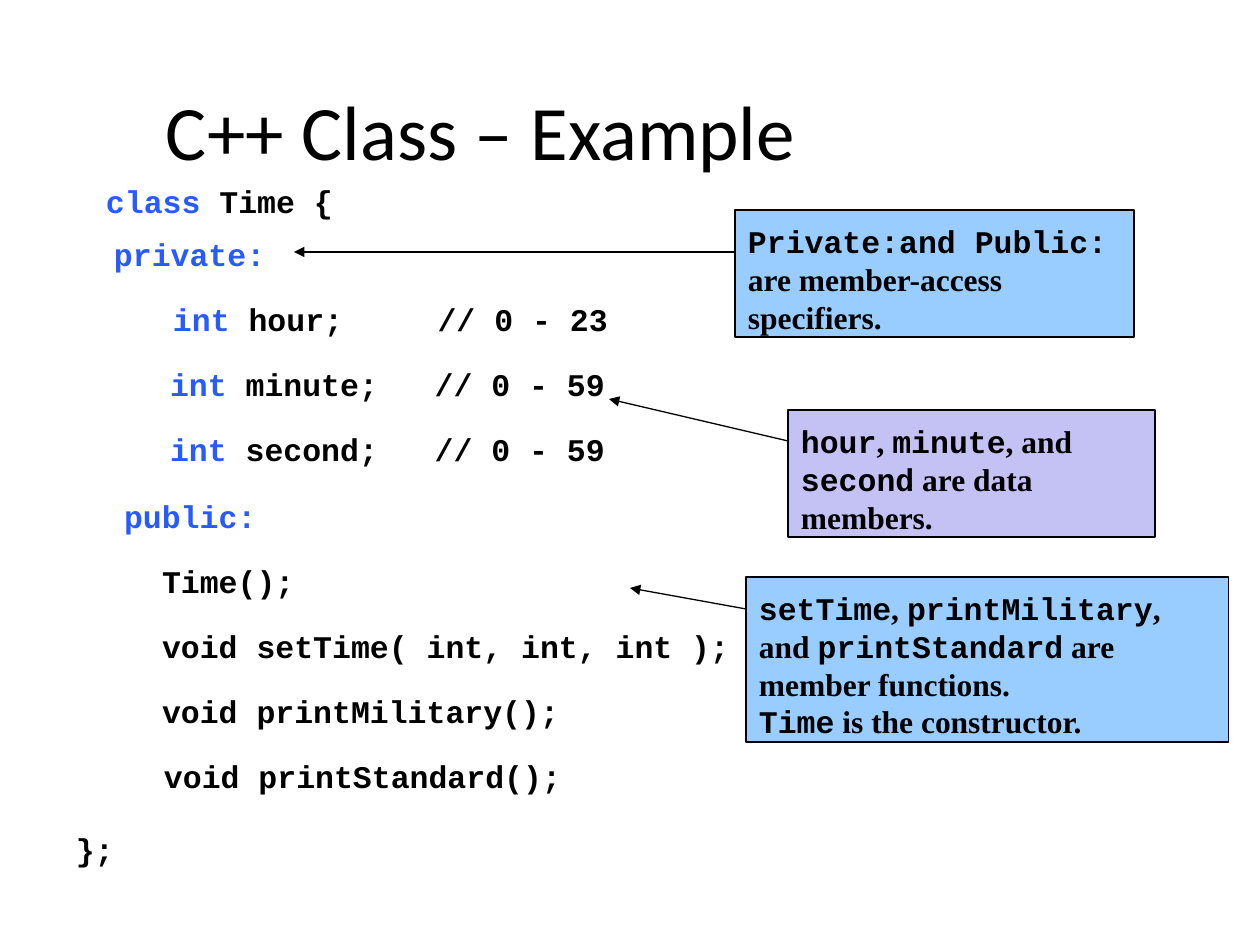
from dataclasses import dataclass

from lxml import etree
from pptx import Presentation
from pptx.dml.color import RGBColor
from pptx.enum.shapes import MSO_CONNECTOR, MSO_SHAPE
from pptx.enum.text import MSO_ANCHOR, PP_ALIGN
from pptx.oxml.ns import qn
from pptx.util import Emu, Pt

PX = 914400 // 126
COLORS = {"white": "FFFFFF", "black": "000000", "keyword": "275AFF",
          "blue": "99CCFF", "lilac": "C4C2F4"}
CODE, PROSE, HEADING = "Courier New", "Times New Roman", "Calibri"
ROW_W, ROW_H, INSET_X, INSET_Y = 1092, 65, 13, 6


@dataclass
class Span:
    text: str
    font: str = CODE
    color: str = "black"
    size: int = 18
    bold: bool = True


@dataclass
class CodeRow:
    left: int
    top: int
    text_x: int
    keyword: str
    rest: str


@dataclass
class Callout:
    box: tuple[int, int, int, int]
    fill: str
    arrow_y: int
    target: tuple[int, int]
    paragraphs: list[list[Span]]


def px(n: int) -> Emu:
    return Emu(n * PX)


def rgb(name: str) -> RGBColor:
    return RGBColor.from_string(COLORS[name])


def write(tf, paragraphs: list[list[Span]]) -> None:
    for i, spans in enumerate(paragraphs):
        p = tf.paragraphs[0] if i == 0 else tf.add_paragraph()
        p.alignment = PP_ALIGN.LEFT
        for span in spans:
            r = p.add_run()
            r.text = span.text
            r.font.name, r.font.size, r.font.bold = span.font, Pt(span.size), span.bold
            r.font.color.rgb = rgb(span.color)


def set_insets(tf, left: int, top: int, right: int, bottom: int) -> None:
    tf.margin_left, tf.margin_top = px(left), px(top)
    tf.margin_right, tf.margin_bottom = px(right), px(bottom)
    tf.word_wrap = True


def add_box(s, box: tuple[int, int, int, int], fill: str):
    sp = s.shapes.add_shape(MSO_SHAPE.RECTANGLE, *map(px, box))
    sp.shadow.inherit = False
    sp.fill.solid()
    sp.fill.fore_color.rgb = rgb(fill)
    return sp


def add_code_row(s, row: CodeRow) -> None:
    sp = add_box(s, (row.left, row.top, ROW_W, ROW_H), "white")
    sp.line.fill.background()
    tf = sp.text_frame
    set_insets(tf, row.text_x - row.left, INSET_Y, INSET_X, INSET_Y)
    tf.vertical_anchor = MSO_ANCHOR.MIDDLE
    spans = [Span(row.keyword, color="keyword"), Span(row.rest)]
    write(tf, [[span for span in spans if span.text]])


def add_arrow(s, start: tuple[int, int], end: tuple[int, int]) -> None:
    line = s.shapes.add_connector(MSO_CONNECTOR.STRAIGHT, *map(px, start + end))
    line.line.color.rgb = rgb("black")
    line.line.width = Pt(0.75)
    etree.SubElement(line.line._get_or_add_ln(), qn("a:tailEnd"), type="triangle")
    etree.SubElement(line._element.spPr, qn("a:effectLst"))


def add_callout(s, callout: Callout) -> None:
    add_arrow(s, (callout.box[0], callout.arrow_y), callout.target)
    sp = add_box(s, callout.box, callout.fill)
    sp.line.color.rgb = rgb("black")
    sp.line.width = Pt(0.75)
    tf = sp.text_frame
    set_insets(tf, INSET_X, 2 * INSET_Y, INSET_X, INSET_Y)
    tf.vertical_anchor = MSO_ANCHOR.TOP
    write(tf, callout.paragraphs)


def add_title(s, text: str) -> None:
    tf = s.shapes.add_textbox(px(166), px(84), px(927), px(81)).text_frame
    set_insets(tf, 0, 0, 0, 0)
    write(tf, [[Span(text, HEADING, size=44, bold=False)]])


# Code lines of each section: text x, keyword, remainder
PRIVATE = [
    (114, "private:", ""),
    (173, "int", " hour;     // 0 - 23"),
    (170, "int", " minute;   // 0 - 59"),
    (170, "int", " second;   // 0 - 59"),
]
PUBLIC = [
    (124, "public:", ""),
    (162, "", "Time();"),
    (162, "", "void setTime( int, int, int );"),
    (162, "", "void printMilitary();"),
    (164, "", "void printStandard();"),
]
ROWS = [CodeRow(53, 168, 106, "class", " Time {")]
for left, top, lines in ((63, 221, PRIVATE), (73, 483, PUBLIC)):
    ROWS += [CodeRow(left, top + i * ROW_H, *line) for i, line in enumerate(lines)]
ROWS.append(CodeRow(63, 816, 76, "", "};"))

CALLOUTS = [
    Callout((735, 210, 399, 127), "blue", 252, (294, 252), [
        [Span("Private:and Public:"), Span(" are member-access specifiers.", PROSE)]]),
    Callout((746, 577, 483, 165), "blue", 609, (630, 588), [
        [Span("setTime"), Span(", ", PROSE), Span("printMilitary"),
         Span(", and ", PROSE), Span("printStandard"),
         Span(" are member functions.", PROSE)],
        [Span("Time"), Span(" is the constructor.", PROSE)]]),
    Callout((788, 410, 367, 127), "lilac", 441, (609, 399), [
        [Span("hour"), Span(", ", PROSE), Span("minute"), Span(", and ", PROSE),
         Span("second"), Span(" are data members.", PROSE)]]),
]


def main() -> None:
    prs = Presentation()
    prs.slide_width, prs.slide_height = px(1260), px(945)
    s = prs.slides.add_slide(prs.slide_layouts[6])

    # Class listing
    for row in ROWS:
        add_code_row(s, row)

    # Heading
    add_title(s, "C++ Class – Example")

    # Explanations with arrows
    for callout in CALLOUTS:
        add_callout(s, callout)

    prs.save("out.pptx")


if __name__ == "__main__":
    main()
